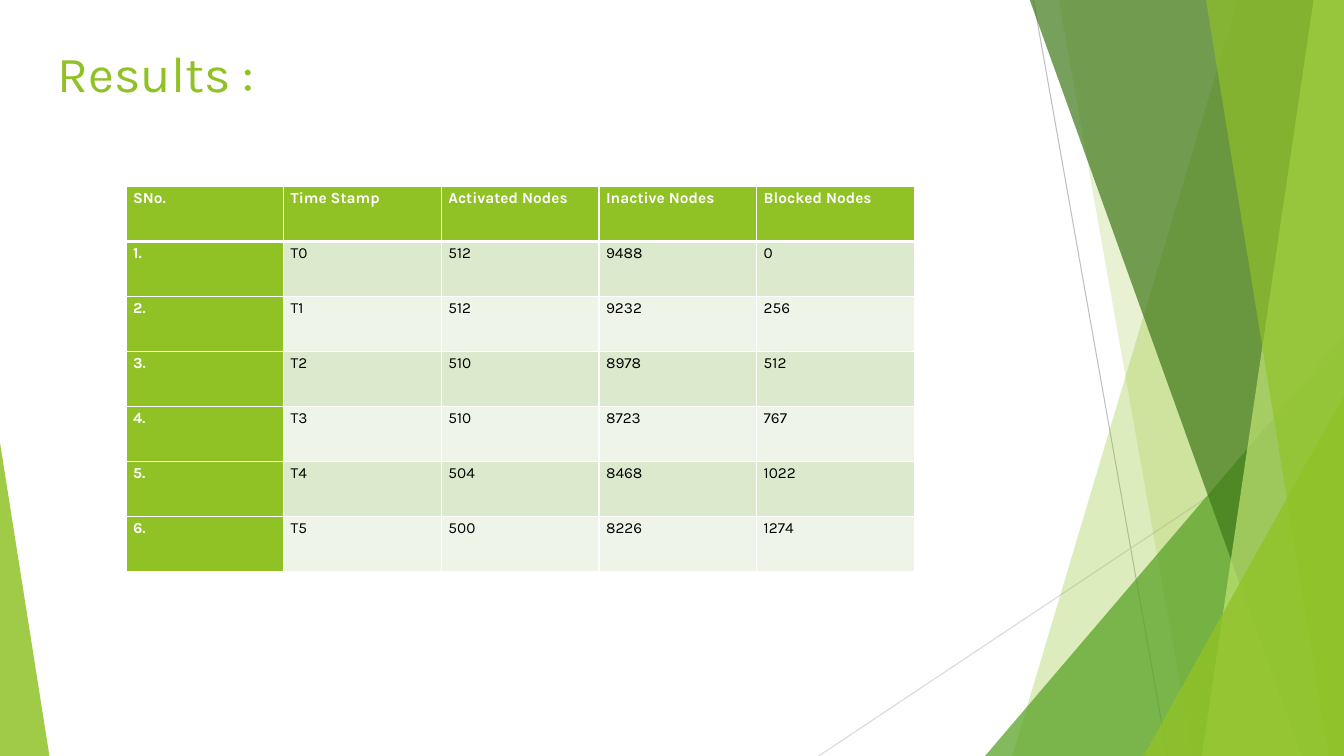
"""Build the results slide: faceted green decoration, a title and a table of node counts."""
from lxml import etree
from pptx import Presentation
from pptx import util as u
from pptx.dml.color import RGBColor
from pptx.enum import shapes, text
from pptx.oxml.ns import qn

FONT = "Karla"
GREEN, WHITE, BLACK = "90C226", "FFFFFF", "000000"
BANDS = ("DBE9CD", "EEF4E8")
WIDTH, HEIGHT, TOP = 13.33, 7.5, -0.01

HEADINGS = ("SNo.", "Time Stamp", "Activated Nodes", "Inactive Nodes", "Blocked Nodes")
RESULTS = (
    ("1.", "T0", "512", "9488", "0"),
    ("2.", "T1", "512", "9232", "256"),
    ("3.", "T2", "510", "8978", "512"),
    ("4.", "T3", "510", "8723", "767"),
    ("5.", "T4", "504", "8468", "1022"),
    ("6.", "T5", "500", "8226", "1274"),
)


def color(value):
    return RGBColor.from_string(value)


def paint(shape, fill, opacity):
    shape.shadow.inherit = False
    shape.line.fill.background()
    shape.fill.solid()
    shape.fill.fore_color.rgb = color(fill)
    tint = shape.fill._xPr.find(".//" + qn("a:srgbClr"))
    etree.SubElement(tint, qn("a:alpha"), val=str(opacity * 1000))


def add_line(slide, start, end, stroke):
    ends = [u.Inches(value) for value in (*start, *end)]
    line = slide.shapes.add_connector(shapes.MSO_CONNECTOR.STRAIGHT, *ends)
    line.line.color.rgb = color(stroke)
    line.line.width = u.Pt(0.75)
    etree.SubElement(line._element.spPr, qn("a:effectLst"))


def add_facet(slide, top_left, bottom_left, fill, opacity):
    corners = ((top_left, TOP), (WIDTH, TOP), (WIDTH, HEIGHT), (bottom_left, HEIGHT))
    points = [(u.Inches(x), u.Inches(y)) for x, y in corners]
    builder = slide.shapes.build_freeform(*points[0])
    builder.add_line_segments(points[1:], close=True)
    paint(builder.convert_to_shape(), fill, opacity)


def add_triangle(slide, left, top, width, apex, fill, opacity):
    box = [u.Inches(value) for value in (left, top, width, HEIGHT - top)]
    triangle = slide.shapes.add_shape(shapes.MSO_SHAPE.ISOSCELES_TRIANGLE, *box)
    triangle.adjustments[0] = apex
    paint(triangle, fill, opacity)


def add_decoration(slide):
    add_line(slide, (10.25, 0), (11.58, HEIGHT), "BFBFBF")
    add_line(slide, (WIDTH, 4.03), (8.12, HEIGHT), "D9D9D9")
    add_facet(slide, 12.28, 10.04, GREEN, 30)
    add_facet(slide, 10.5, 11.83, GREEN, 20)
    add_triangle(slide, 9.77, 3.33, 3.56, 1, "54A021", 72)
    add_facet(slide, 10.21, 12.91, "3F7819", 70)
    add_facet(slide, 13.03, 11.92, "C0E474", 70)
    add_facet(slide, 11.96, 13.18, GREEN, 65)
    add_triangle(slide, 11.34, 3.93, 1.99, 1, GREEN, 80)
    add_triangle(slide, 0, 4.39, 0.49, 0, GREEN, 85)


def style_text(paragraph, size, ink, bold=False):
    font = paragraph.font
    font.name, font.size, font.bold = FONT, u.Pt(size), bold
    font.color.rgb = color(ink)


def set_title(slide, wording):
    title = slide.shapes.title
    title.left, title.top = u.Inches(0.47), u.Inches(0.37)
    title.width, title.height = u.Inches(9.4), u.Inches(1.05)
    frame = title.text_frame
    frame.text = wording
    frame.vertical_anchor = text.MSO_ANCHOR.TOP
    paragraph = frame.paragraphs[0]
    paragraph.alignment = text.PP_ALIGN.LEFT
    style_text(paragraph, 36, GREEN)


def add_borders(cell, top, bottom):
    properties = cell._tc.get_or_add_tcPr()
    for side, points in (("L", 1), ("R", 1), ("T", top), ("B", bottom)):
        border = etree.SubElement(properties, qn("a:ln" + side), w=str(u.Pt(points)))
        fill = etree.SubElement(border, qn("a:solidFill"))
        etree.SubElement(fill, qn("a:srgbClr"), val=WHITE)


def fill_cell(cell, wording, row, column):
    heading = row == 0 or column == 0
    cell.text = wording
    cell.margin_left = cell.margin_right = u.Inches(0.07)
    cell.margin_top = cell.margin_bottom = 0
    add_borders(cell, top=3 if row == 1 else 1, bottom=3 if row == 0 else 1)
    cell.fill.solid()
    cell.fill.fore_color.rgb = color(GREEN if heading else BANDS[(row - 1) % 2])
    paragraph = cell.text_frame.paragraphs[0]
    paragraph.line_spacing = 1.15
    style_text(paragraph, 11, WHITE if heading else BLACK, heading)


def add_results_table(slide):
    rows = (HEADINGS, *RESULTS)
    box = [u.Inches(value) for value in (1.25, 1.85, 7.82, 3.82)]
    table = slide.shapes.add_table(len(rows), len(HEADINGS), *box).table
    table.first_col = True
    for row, values in enumerate(rows):
        for column, wording in enumerate(values):
            fill_cell(table.cell(row, column), wording, row, column)


def main():
    presentation = Presentation()
    presentation.slide_width = u.Inches(WIDTH)
    presentation.slide_height = u.Inches(HEIGHT)
    slide = presentation.slides.add_slide(presentation.slide_layouts[5])
    add_decoration(slide)
    set_title(slide, "Results :")
    add_results_table(slide)
    presentation.save("out.pptx")


if __name__ == "__main__":
    main()
